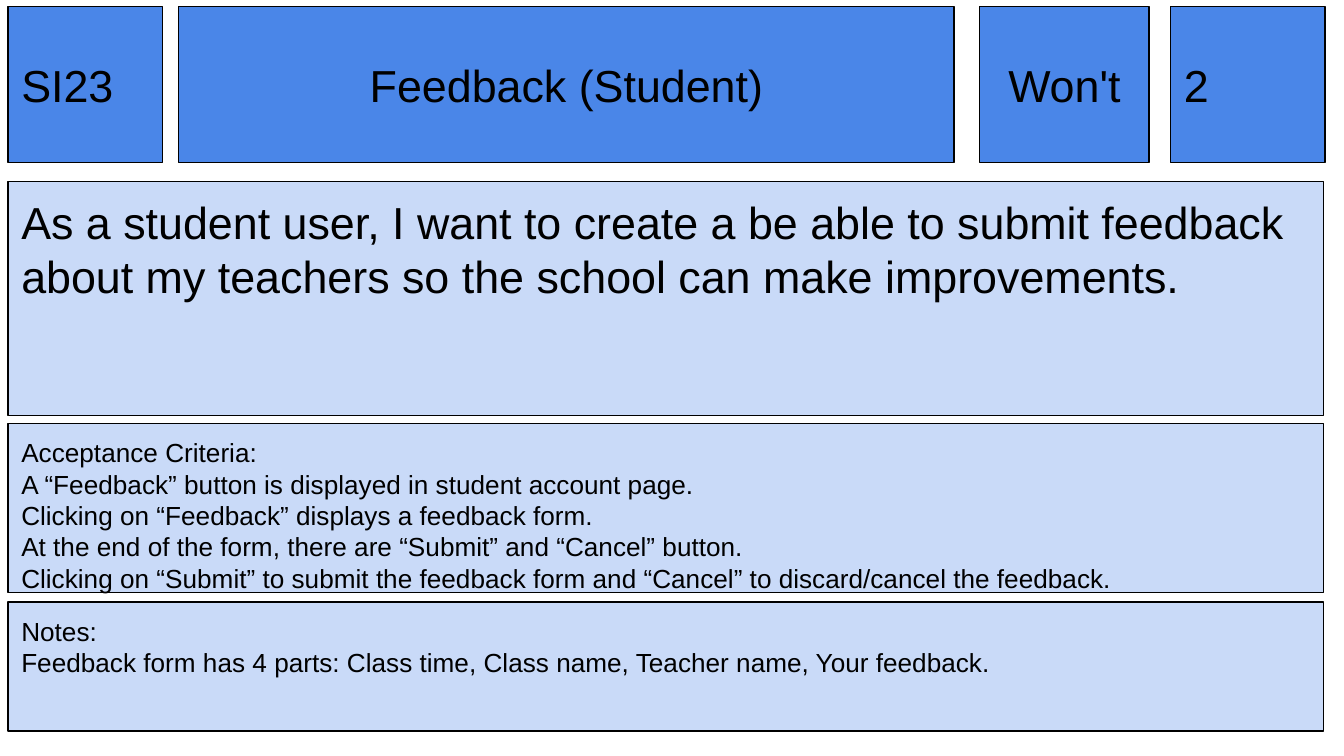
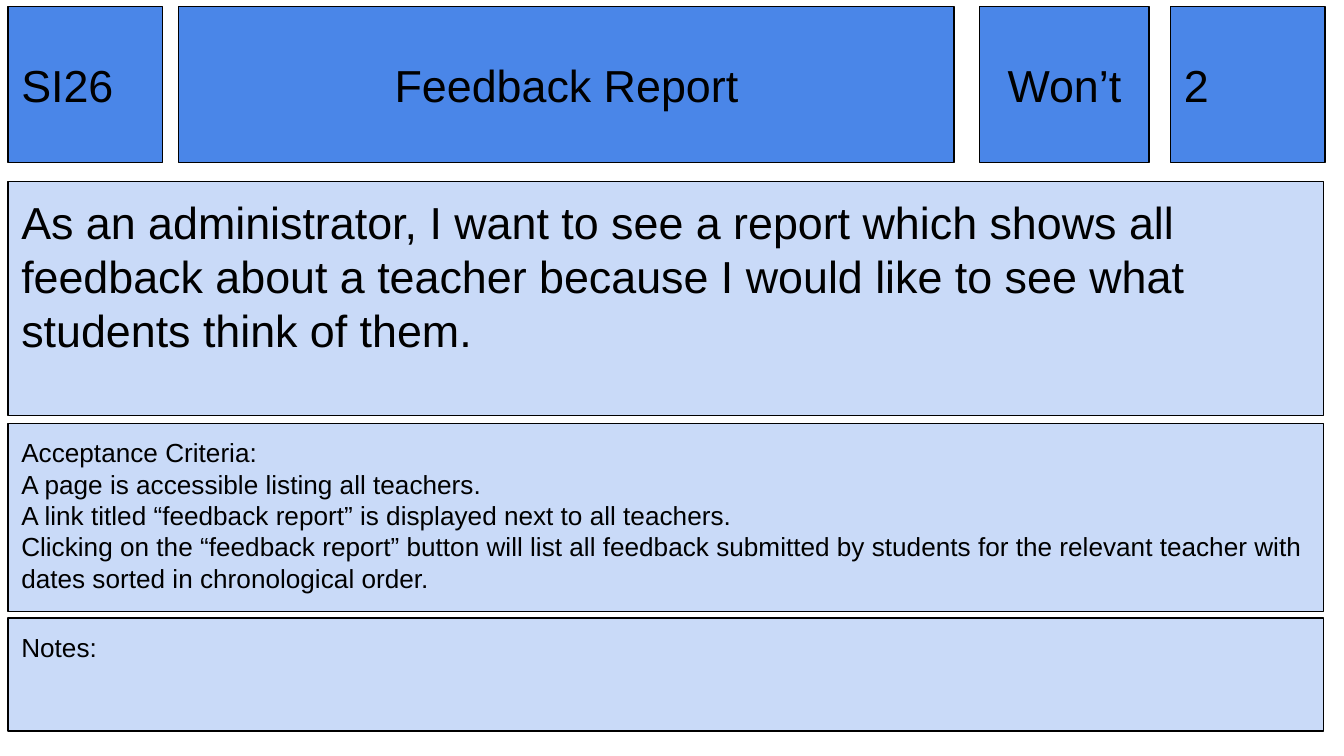
import pptx
import pptx.util
from pptx.dml.color import RGBColor
from pptx.enum.shapes import MSO_SHAPE
from pptx.enum.text import MSO_ANCHOR, PP_ALIGN
from pptx.util import Inches

HEADER_BLUE = RGBColor(0x4A, 0x86, 0xE8)
BODY_BLUE = RGBColor(0xC9, 0xDA, 0xF8)
BLACK = RGBColor(0, 0, 0)

LEFT = 0.06
BODY_WIDTH = 9.79
CRITERIA_TOP = 3.15
NOTES_BOTTOM = 5.44

# left, width and alignment of the ID, title, priority and points cells
HEADER_CELLS = [
    (LEFT, 1.15, PP_ALIGN.LEFT),
    (1.33, 5.77, PP_ALIGN.CENTER),
    (7.29, 1.26, PP_ALIGN.CENTER),
    (8.71, 1.15, PP_ALIGN.LEFT),
]

STORIES = [
    {
        "header": ["SI23", "Feedback (Student)", "Won't", "2"],
        "story": "As a student user, I want to create a be able to submit feedback "
                 "about my teachers so the school can make improvements.",
        "criteria": [
            "A “Feedback” button is displayed in student account page.",
            "Clicking on “Feedback” displays a feedback form.",
            "At the end of the form, there are “Submit” and “Cancel” button.",
            "Clicking on “Submit” to submit the feedback form and “Cancel” "
            "to discard/cancel the feedback.",
        ],
        "criteria_height": 1.26,
        "notes": ["Feedback form has 4 parts: Class time, Class name, "
                  "Teacher name, Your feedback."],
        "notes_top": 4.48,
    },
    {
        "header": ["SI26", "Feedback Report", "Won’t", "2"],
        "story": "As an administrator, I want to see a report which shows all "
                 "feedback about a teacher because I would like to see what "
                 "students think of them.",
        "criteria": [
            "A page is accessible listing all teachers.",
            "A link titled “feedback report” is displayed next to all teachers.",
            "Clicking on the “feedback report” button will list all feedback "
            "submitted by students for the relevant teacher with dates sorted "
            "in chronological order.",
        ],
        "criteria_height": 1.4,
        "notes": [],
        "notes_top": 4.6,
    },
]


class StoryCard:
    """One user story slide and the style its boxes share."""

    frame_format = {
        "word_wrap": True,
        "margin_left": Inches(0.1),
        "margin_top": Inches(0.1),
        "margin_right": Inches(0.1),
        "margin_bottom": Inches(0.1),
    }

    def __init__(self, deck):
        self.slide = deck.slides.add_slide(deck.slide_layouts[6])

    def box(self, left, top, width, height, fill, lines, size, anchor, align):
        panel = self.slide.shapes.add_shape(
            MSO_SHAPE.RECTANGLE,
            Inches(left), Inches(top), Inches(width), Inches(height))
        panel.shadow.inherit = False
        panel.fill.solid()
        panel.fill.fore_color.rgb = fill
        panel.line.color.rgb = BLACK
        panel.line.width = pptx.util.Pt(0.75)

        frame = panel.text_frame
        for name, value in {**self.frame_format, "vertical_anchor": anchor}.items():
            setattr(frame, name, value)
        frame.text = "\n".join(lines)
        font_format = {"name": "Arial", "size": pptx.util.Pt(size)}
        for paragraph in frame.paragraphs:
            paragraph.alignment = align
            for run in paragraph.runs:
                for name, value in font_format.items():
                    setattr(run.font, name, value)
                run.font.color.rgb = BLACK

    def header(self, labels):
        for label, (left, width, align) in zip(labels, HEADER_CELLS):
            self.box(left, 0.05, width, 1.16, HEADER_BLUE, [label], 24,
                     MSO_ANCHOR.MIDDLE, align)

    def body(self, top, height, lines, size=14):
        self.box(LEFT, top, BODY_WIDTH, height, BODY_BLUE, lines, size,
                 MSO_ANCHOR.TOP, PP_ALIGN.LEFT)


def main():
    deck = pptx.Presentation()
    deck.slide_width = Inches(10)
    deck.slide_height = deck.slide_width * 9 // 16
    for story in STORIES:
        card = StoryCard(deck)
        card.header(story["header"])
        card.body(1.35, 1.74, [story["story"]], size=24)
        card.body(CRITERIA_TOP, story["criteria_height"],
                  ["Acceptance Criteria:", *story["criteria"]])
        card.body(story["notes_top"], NOTES_BOTTOM - story["notes_top"],
                  ["Notes:", *story["notes"]])
    deck.save("out.pptx")


if __name__ == "__main__":
    main()
